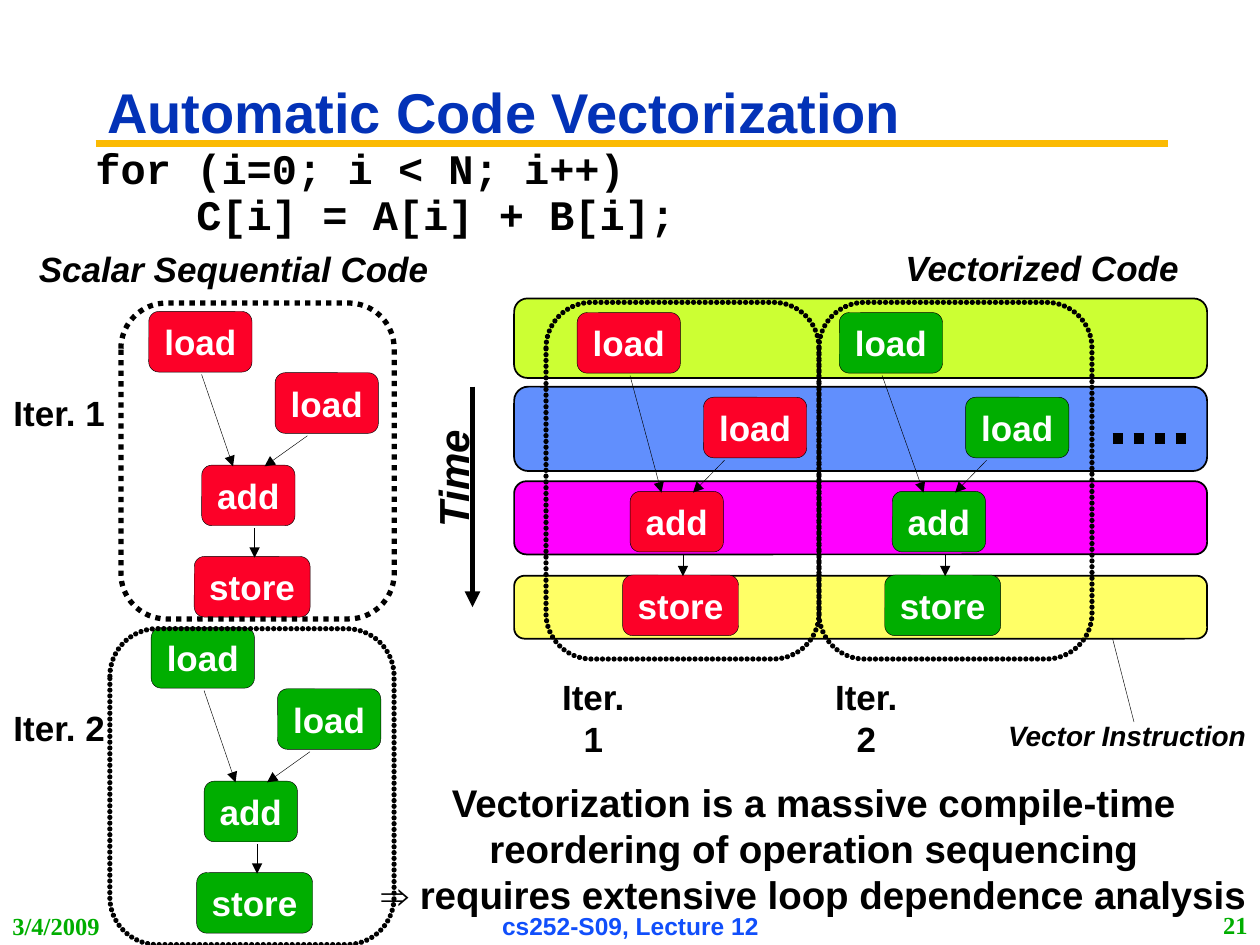
from pptx import Presentation
from pptx.dml.color import RGBColor
from pptx.enum.dml import MSO_LINE_DASH_STYLE as Dash
from pptx.enum.shapes import MSO_CONNECTOR_TYPE as Connector, MSO_SHAPE as Shape
from pptx.enum.text import MSO_ANCHOR as Anchor, PP_ALIGN as Align
from pptx.oxml.ns import qn
from pptx.util import Pt
from lxml.etree import SubElement

COLORS = {
    "title": "0332B7", "rule": "FBBA03", "black": "000000", "white": "FFFFFF",
    "red": "FC0128", "green": "00AE00", "blue": "618FFD", "lime": "CCFF33",
    "magenta": "FF00FF", "yellow": "FFFF66", "footer": "114FFB",
}


class VectorSlide:
    font = "Arial"
    corner = 0.167
    thin = 0.25

    def __init__(self, deck):
        self.slide = deck.slides.add_slide(deck.slide_layouts[5])
        self.shapes = self.slide.shapes

    def color(self, name):
        return RGBColor.from_string(COLORS[name])

    def set_text(self, frame, lines, size, color="black", font=None, italic=False,
                 align=Align.CENTER, before=0, spacing=None, wrap=True,
                 anchor=Anchor.MIDDLE):
        frame.word_wrap = wrap
        frame.vertical_anchor = anchor
        frame.margin_left = frame.margin_right = Pt(7.2)
        frame.margin_top = frame.margin_bottom = Pt(3.6)
        for index, line in enumerate(lines):
            paragraph = frame.add_paragraph() if index else frame.paragraphs[0]
            paragraph.alignment = align
            paragraph.space_before = Pt(before)
            if spacing:
                paragraph.line_spacing = spacing
            run = paragraph.add_run()
            run.text = line
            run.font.name = font or self.font
            run.font.size = Pt(size)
            run.font.bold = True
            run.font.italic = italic
            run.font.color.rgb = self.color(color)
        return frame

    def title(self, text, x, y, w, h):
        title = self.shapes.title
        title.left, title.top, title.width, title.height = map(Pt, (x, y, w, h))
        self.set_text(title.text_frame, [text], 32, "title", align=Align.LEFT, spacing=0.9)

    def label(self, lines, x, y, w, h, size=20, turn=0, **style):
        box = self.shapes.add_textbox(*map(Pt, (x, y, w, h)))
        box.rotation = turn
        return self.set_text(box.text_frame, lines, size, **style)

    def box(self, x, y, w, h, fill=None, width=1):
        box = self.shapes.add_shape(Shape.ROUNDED_RECTANGLE, *map(Pt, (x, y, w, h)))
        box.adjustments[0] = self.corner
        box.shadow.inherit = False
        if fill:
            box.fill.solid()
            box.fill.fore_color.rgb = self.color(fill)
        else:
            box.fill.background()
        box.line.color.rgb = self.color("black")
        box.line.width = Pt(width)
        return box

    def operation(self, text, x, y, w, fill):
        box = self.box(x, y, w, 34.6, fill, self.thin)
        self.set_text(box.text_frame, [text], 20, "white", before=12.5, wrap=False)

    def frame(self, x, y, w, h, round_dots=True):
        line = self.box(x, y, w, h, width=3).line
        if not round_dots:
            line.dash_style = Dash.ROUND_DOT
            return
        ln = line._get_or_add_ln()
        ln.set("cap", "rnd")
        SubElement(SubElement(ln, qn("a:custDash")), qn("a:ds"), d="100000", sp="10000")

    def line(self, x1, y1, x2, y2, width=thin, color="black", arrow=False, dash=None):
        connector = self.shapes.add_connector(
            Connector.STRAIGHT, *map(Pt, (x1, y1, x2, y2)))
        connector.line.color.rgb = self.color(color)
        connector.line.width = Pt(width)
        if dash:
            connector.line.dash_style = dash
        if arrow:
            SubElement(connector.line._get_or_add_ln(), qn("a:tailEnd"), type="triangle")
        SubElement(connector._element.spPr, qn("a:effectLst"))

    def iteration(self, x, y, fill, rows, starts):
        """One loop body; rows are the tops of the second load, add and store."""
        load, add, store = rows
        first, second = starts
        self.operation("load", x, y, 59, fill)
        self.operation("load", x + 72.2, y + load, 59, fill)
        self.operation("add", x + 30.3, y + add, 53.3, fill)
        self.operation("store", x + 26, y + store, 66.2, fill)
        for x1, y1, x2, y2 in ((first, 0, 48.2, add), (second, load, 66.2, add),
                               (60.5, add, 60.5, store)):
            self.line(x + x1, y + y1 + 36, x + x2, y + y2 + 0.7, arrow=True)


def main():
    deck = Presentation()
    deck.slide_width, deck.slide_height = Pt(720), Pt(540)
    page = VectorSlide(deck)

    # Heading and loop source
    page.line(54.7, 82.1, 667.4, 82.1, 3.75, "rule")
    page.title("Automatic Code Vectorization", 54, 30.2, 563.8, 72)
    code = page.label(["for (i=0; i < N; i++)", "C[i] = A[i] + B[i];"],
                      47.5, 83.5, 345.6, 56.2, 24, font="Courier New",
                      align=Align.LEFT, before=3, spacing=0.8, wrap=False)
    code.paragraphs[1]._p.get_or_add_pPr().set("marL", str(Pt(57.6)))

    # Scalar code: iterations one after the other
    scalar_rows, scalar_starts = (35, 87.8, 140), (30.2, 90.7)
    page.iteration(85, 178, "red", scalar_rows, scalar_starts)
    page.iteration(86.4, 358.6, "green", scalar_rows, scalar_starts)
    page.frame(69.1, 173.2, 156.2, 180.5, round_dots=False)
    page.frame(62.8, 359.3, 162.4, 180.5)
    for number, top in ((1, 219.6), (2, 399.6)):
        page.label([f"Iter. {number}"], 0, top, 67.7, 31.7, before=12.5, wrap=False)
    page.label(["Scalar Sequential Code"], 15.1, 137.5, 236.9, 31.7,
               italic=True, before=12.5)

    # Conclusion
    conclusion = page.label(
        ["Vectorization is a massive compile-time reordering of operation sequencing",
         "⇒ requires extensive loop dependence analysis"],
        198, 441.4, 534.2, 86.4, 22)
    conclusion.paragraphs[0].space_before = Pt(13.8)

    # Vector instructions
    for top, height, fill in ((221, 48.2, "blue"), (170.6, 45.4, "lime"),
                              (275, 41.8, "magenta"), (329, 36, "yellow")):
        page.box(293.8, top, 396, height, fill)
    page.label(["Vector Instruction"], 568.8, 406.8, 150.5, 26.6, 16,
               italic=True, before=10, wrap=False)

    # Vectorized code: iterations side by side
    vector_rows = (48.4, 102.2, 150)
    page.iteration(329.8, 178.6, "red", vector_rows, (30.2, 84.2))
    page.iteration(479.6, 178.6, "green", vector_rows, (24.5, 84.2))
    for number, left in ((1, 312), (2, 468)):
        page.frame(left, 172.8, 156, 203.8)
        page.label([f"Iter. {number}"], left, 382.3, 54, 55.4, before=12.5)
    page.label(["Vectorized Code"], 509.8, 136.8, 171.4, 31.7,
               italic=True, before=12.5, wrap=False)
    page.line(635.8, 365, 648, 412.6)

    # Time axis and continuation dots
    page.line(270, 221, 270, 347, 3, arrow=True)
    page.label(["Time"], 223.2, 255.6, 70.6, 36, 24, turn=270, italic=True,
               before=15, wrap=False, anchor=Anchor.TOP)
    page.line(635.8, 250.6, 678.2, 250.6, 6, dash=Dash.ROUND_DOT)

    # Footer
    page.label(["cs252-S09, Lecture 12"], 246.2, 517.7, 228.2, 22.3, 14, color="footer")
    page.label(["21"], 570.2, 517, 149.8, 23, 14, color="green",
               font="Times New Roman", align=Align.RIGHT)
    page.label(["3/4/2009"], 0, 517.7, 149.8, 22.3, 14, color="green",
               font="Times New Roman", align=Align.LEFT)

    deck.save("out.pptx")


if __name__ == "__main__":
    main()
